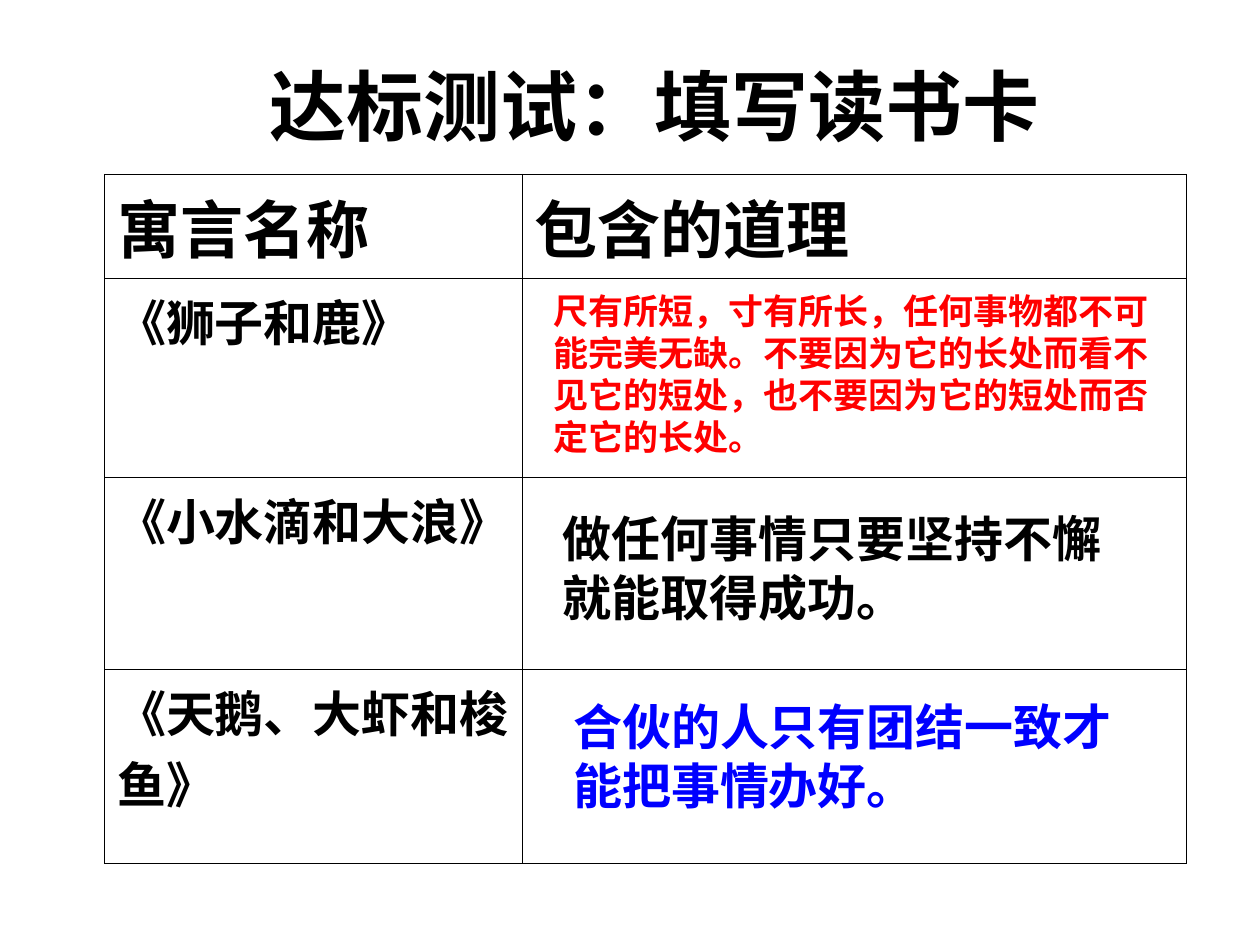
from dataclasses import dataclass

from lxml import etree
from pptx import Presentation
from pptx.dml.color import RGBColor
from pptx.enum.lang import MSO_LANGUAGE_ID
from pptx.enum.text import MSO_ANCHOR, PP_ALIGN
from pptx.oxml.ns import qn
from pptx.util import Pt

CENTER, LEFT = PP_ALIGN.CENTER, PP_ALIGN.LEFT
MIDDLE, TOP = MSO_ANCHOR.MIDDLE, MSO_ANCHOR.TOP
CHINESE = MSO_LANGUAGE_ID.SIMPLIFIED_CHINESE


@dataclass(frozen=True)
class Theme:
    black: str = "000000"
    red: str = "FF0000"
    blue: str = "0000FF"
    sans: str = "Arial"
    serif: str = "Times New Roman"
    title: int = 44
    header: int = 36
    body: int = 28
    small: int = 20
    tight: float = 1.2
    loose: float = 1.45
    border: float = 0.45


class Card:
    def __init__(self, prs, theme):
        self.theme = theme
        self.slide = prs.slides.add_slide(prs.slide_layouts[6])

    def paragraph(self, tf, text, size, color, font, leading, align=LEFT):
        """Fill a text frame with one bold paragraph."""
        tf.word_wrap = True
        p = tf.paragraphs[0]
        p.alignment = align
        p.line_spacing = Pt(round(size * leading, 1))
        r = p.add_run()
        r.text = text
        style = {"name": font, "size": Pt(size), "bold": True,
                 "language_id": CHINESE}
        for name, value in style.items():
            setattr(r.font, name, value)
        r.font.color.rgb = RGBColor.from_string(color)

    def text(self, box, text, size, color, align=LEFT, anchor=TOP):
        sp = self.slide.shapes.add_textbox(*map(Pt, box))
        sp.text_frame.vertical_anchor = anchor
        self.paragraph(sp.text_frame, text, size, color, self.theme.sans,
                       self.theme.tight, align)

    def borders(self, cell):
        tc_pr = cell._tc.get_or_add_tcPr()
        for i, side in enumerate(("lnL", "lnR", "lnT", "lnB")):
            ln = etree.Element(qn(f"a:{side}"), w=str(Pt(self.theme.border)))
            fill = etree.SubElement(ln, qn("a:solidFill"))
            etree.SubElement(fill, qn("a:srgbClr"), val=self.theme.black)
            tc_pr.insert(i, ln)

    def table(self, left, top, widths, heights, rows):
        t = self.theme
        table = self.slide.shapes.add_table(
            len(heights), len(widths), Pt(left), Pt(top),
            Pt(sum(widths)), Pt(sum(heights))).table
        table.first_row = table.horz_banding = False
        for column, width in zip(table.columns, widths):
            column.width = Pt(width)
        for i, (height, texts) in enumerate(zip(heights, rows)):
            table.rows[i].height = Pt(height)
            size, font = (t.body, t.sans) if i else (t.header, t.serif)
            for cell, text in zip(table.rows[i].cells, texts):
                cell.fill.background()
                self.borders(cell)
                if text:
                    self.paragraph(cell.text_frame, text, size, t.black,
                                   font, t.loose)


def main():
    prs = Presentation()
    prs.slide_width, prs.slide_height = Pt(720), Pt(540)
    theme = Theme()
    card = Card(prs, theme)

    card.text((133, 15, 482.5, 90), "达标测试：填写读书卡", theme.title,
              theme.black, CENTER, MIDDLE)
    card.table(59.75, 99.5, (238.5, 379.5), (59.4, 113.8, 109.8, 110.8), (
        ("寓言名称", "包含的道理"),
        ("《狮子和鹿》", ""),
        ("《小水滴和大浪》", ""),
        ("《天鹅、大虾和梭鱼》", ""),
    ))

    lessons = (
        ((309, 162, 357, 103.5), theme.small, theme.red,
         "尺有所短，寸有所长，任何事物都不可能完美无缺。"
         "不要因为它的长处而看不见它的短处，也不要因为它的短处而否定它的长处。"),
        ((314.5, 287.3, 326, 75), theme.body, theme.black,
         "做任何事情只要坚持不懈就能取得成功。"),
        ((320.5, 394.6, 326, 75), theme.body, theme.blue,
         "合伙的人只有团结一致才能把事情办好。"),
    )
    for box, size, color, text in lessons:
        card.text(box, text, size, color)

    prs.save("out.pptx")


if __name__ == "__main__":
    main()
